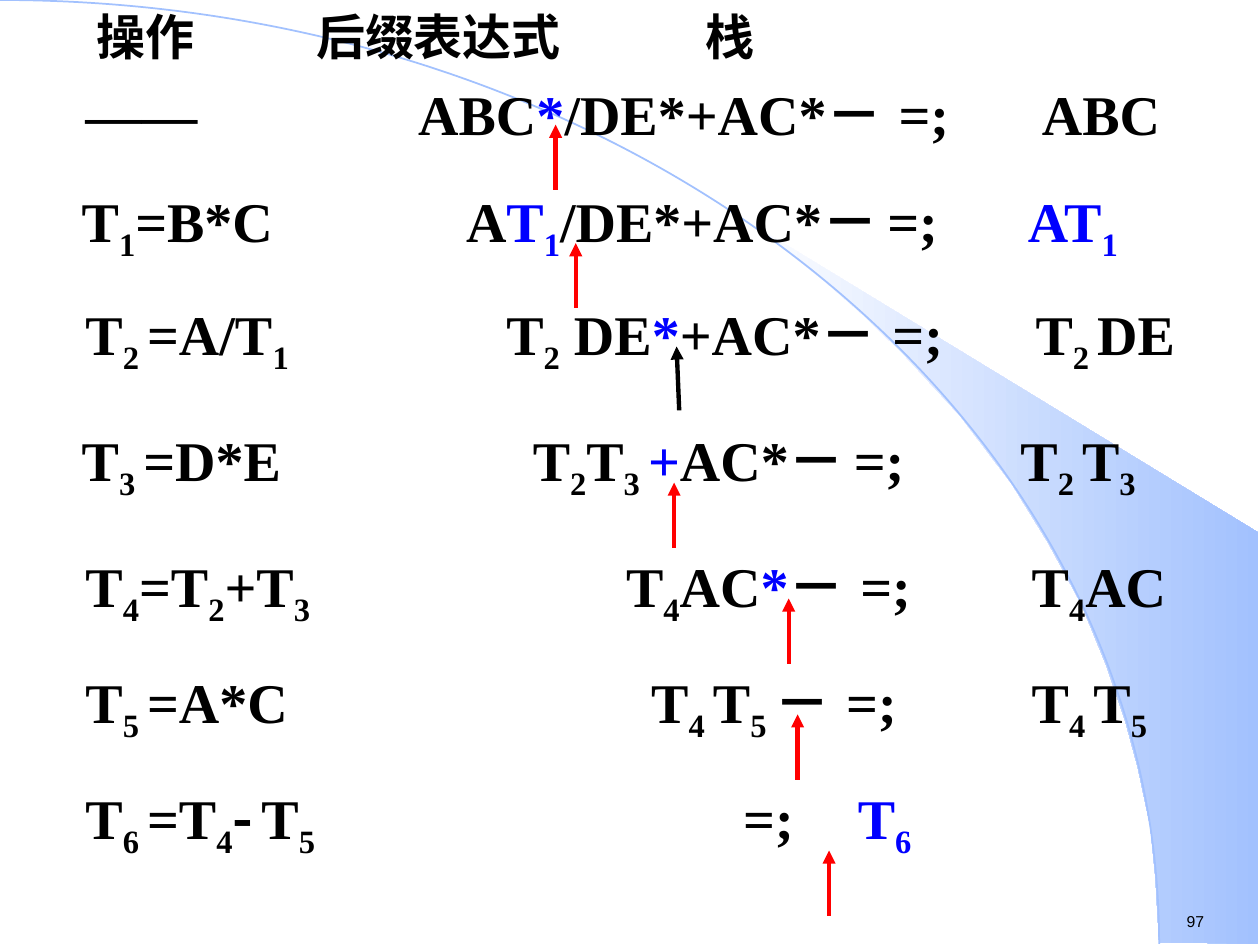
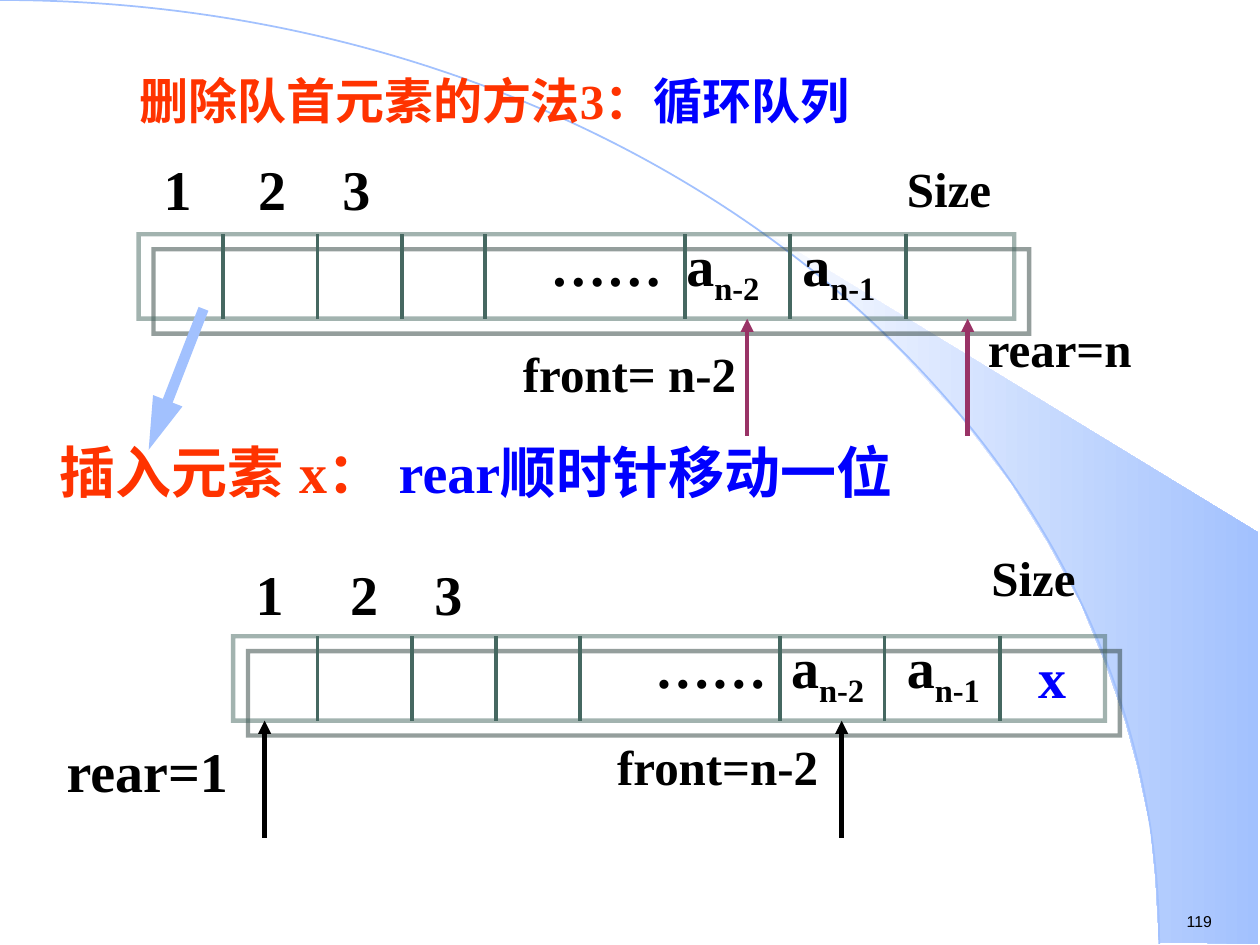
from dataclasses import dataclass

from lxml.etree import SubElement
from pptx import Presentation
from pptx.dml.color import RGBColor
from pptx.enum.shapes import MSO_CONNECTOR, MSO_SHAPE
from pptx.enum.text import PP_ALIGN
from pptx.oxml.ns import qn
from pptx.util import Inches, Pt

COLORS = {
    "black": "000000", "white": "FFFFFF", "blue": "0000FF", "red": "FF0000",
    "orange": "FF3300", "plum": "993366", "sky": "A2C1FE",
    "cell": "466861", "shadow": "2A3E3A",
}
SERIF, SANS, CHINESE = "Times New Roman", "Arial", "Noto Sans CJK SC"
SWEEP = (
    (9.2, 7.48), (9.99, 7.49), (9.99, 4.23), (5.89, 1.73), (6.24, 1.99),
    (6.53, 2.22), (6.85, 2.5), (7.16, 2.8), (7.62, 3.3), (8.03, 3.84),
    (8.32, 4.31), (8.58, 4.79), (8.78, 5.28), (8.93, 5.72), (9.03, 6.09),
    (9.13, 6.56), (9.17, 6.96), (9.2, 7.48),
)
ARC_CONTROLS = ((5.08, 0), (9.2, 3.35))
ARC_END = (9.2, 7.49)
CELL_HEIGHT = 0.67
DIVIDERS = (0.67, 1.42, 2.09, 2.75, 4.34, 5.17, 6.09)


@dataclass
class Piece:
    """A stretch of text in one style."""
    text: str
    color: str = "black"
    lowered: bool = False
    font: str = SERIF
    size: float = 0


def sub(text, color="black"):
    """Return a subscript piece."""
    return Piece(text, color, lowered=True)


def blue(text):
    """Return a highlighted piece."""
    return Piece(text, "blue")


def rgb(name):
    """Look up a named colour."""
    return RGBColor.from_string(COLORS[name])


def east_asian_font(piece):
    """Choose a sans face for Chinese characters set among serif text."""
    has_chinese = any(letter >= "⼀" for letter in piece.text)
    return SANS if has_chinese and piece.font == SERIF else piece.font


def add_run(paragraph, piece, size, bold):
    """Append one styled run to a paragraph."""
    run = paragraph.add_run()
    run.text = piece.text
    run.font.size = Pt(piece.size or size)
    run.font.bold = bold
    run.font.name = piece.font
    run.font.color.rgb = rgb(piece.color)
    properties = run._r.get_or_add_rPr()
    SubElement(properties, qn("a:ea")).set("typeface", east_asian_font(piece))
    if piece.lowered:
        properties.set("baseline", "-25000")


def add_text(slide, box, pieces, size=32, bold=True, inset=True, tabs=(),
             align=PP_ALIGN.LEFT, spacing=None):
    """Add a one-paragraph text box, with tab stops given from the slide edge."""
    shape = slide.shapes.add_textbox(*map(Inches, box))
    frame = shape.text_frame
    frame.word_wrap = True
    margin = 0.1 if inset else 0
    frame.margin_left = frame.margin_right = Inches(margin)
    frame.margin_top = frame.margin_bottom = Inches(margin / 2)
    paragraph = frame.paragraphs[0]
    if tabs:
        tab_list = SubElement(paragraph._p.get_or_add_pPr(), qn("a:tabLst"))
        for stop in tabs:
            tab = SubElement(tab_list, qn("a:tab"))
            tab.set("pos", str(Inches(stop - box[0] - margin)))
            tab.set("algn", "l")
    paragraph.alignment = align
    if spacing:
        paragraph.line_spacing = spacing
    for piece in [pieces] if isinstance(pieces, str) else pieces:
        if isinstance(piece, str):
            piece = Piece(piece)
        add_run(paragraph, piece, size, bold)


def add_line(slide, start, end, color, width=2.5):
    """Draw a straight line and return its line properties."""
    points = map(Inches, (*start, *end))
    connector = slide.shapes.add_connector(MSO_CONNECTOR.STRAIGHT, *points)
    connector.line.color.rgb = rgb(color)
    connector.line.width = Pt(width)
    SubElement(connector._element.spPr, qn("a:effectLst"))
    return connector.line._get_or_add_ln()


def add_arrow(slide, start, end, color, width=2.5, head_length="med"):
    """Draw a square-ended line with an arrowhead at its end."""
    line = add_line(slide, start, end, color, width)
    line.set("cap", "sq")
    SubElement(line, qn("a:tailEnd"), type="triangle", len=head_length)


def add_outline(slide, points, close):
    """Build a freeform through points given in inches."""
    points = [(Inches(x), Inches(y)) for x, y in points]
    builder = slide.shapes.build_freeform(*points[0])
    builder.add_line_segments(points[1:], close=close)
    shape = builder.convert_to_shape()
    shape.shadow.inherit = False
    return shape


def add_arc(slide):
    """Draw the thin background curve as one Bezier segment."""
    arc = add_outline(slide, [(0, 0), ARC_END], False)
    segment = arc._element.find(".//" + qn("a:lnTo"))
    curve = SubElement(segment.getparent(), qn("a:cubicBezTo"))
    for x, y in (*ARC_CONTROLS, ARC_END):
        SubElement(curve, qn("a:pt"), x=str(Inches(x)), y=str(Inches(y)))
    segment.getparent().remove(segment)
    arc.fill.background()
    arc.line.color.rgb = rgb("sky")
    arc.line.width = Pt(1)


def add_background(slide, number):
    """Draw the shaded sweep, the arc and the slide number."""
    sweep = add_outline(slide, SWEEP, False)
    sweep.line.fill.background()
    sweep.fill.gradient()
    sweep.fill.gradient_angle = 0
    for stop, color in zip(sweep.fill.gradient_stops, ("white", "sky")):
        stop.color.rgb = rgb(color)
    add_arc(slide)
    add_text(slide, (9.32, 7.19, 0.68, 0.25), [Piece(number, font=SANS)],
             size=9, bold=False)


def add_step(slide, left, top, tabs, pieces):
    """Write one evaluation step: operation, expression and stack."""
    add_text(slide, (left, top, 9.42, 0.71), pieces, tabs=tabs)


def build_stack_slide(slide):
    """Trace the evaluation of a postfix expression."""
    add_background(slide, "97")
    add_text(slide, (0.67, 0, 8.75, 0.57),
             [Piece("操作\t后缀表达式\t栈", font=CHINESE)],
             size=28, tabs=(2.51, 5.6))
    small_space = Piece(" ", font=SANS, size=18)
    steps = [
        (0.58, 0.58, (3.32, 8.27),
         ["——\tABC", blue("*"), "/DE*+AC*", Piece("－ ", font=SANS),
          "=;\tABC"]),
        (0.55, 1.43, (3.7, 8.16),
         ["T", sub("1"), "=B*C\tA", blue("T"), sub("1", "blue"),
          "/DE*+AC*－", small_space, "=;\t", blue("AT"), sub("1", "blue")]),
        (0.58, 2.33, (4.02, 8.22),
         ["T", sub("2 "), "=A/T", sub("1"), "\tT", sub("2"), " DE",
          blue("*"), "+AC*－ =;\tT", sub("2 "), "DE"]),
        (0.55, 3.33, (4.23, 8.1),
         ["T", sub("3 "), "=D*E\tT", sub("2"), "T", sub("3 "), blue("+"),
          "AC*－", small_space, "=;\tT", sub("2 "), "T", sub("3")]),
        (0.58, 4.33, (4.97, 8.19),
         ["T", sub("4"), "=T", sub("2"), "+T", sub("3"), "\tT", sub("4"),
          "AC", blue("*"), "－ =;\tT", sub("4"), "AC"]),
        (0.58, 5.25, (5.17, 8.19),
         ["T", sub("5 "), "=A*C\tT", sub("4 "), "T", sub("5 "),
          "－ =;\tT", sub("4 "), "T", sub("5")]),
        (0.58, 6.17, (5.9, 6.81),
         ["T", sub("6 "), "=T", sub("4"), Piece("-", font=CHINESE), sub(" "),
          "T", sub("5"), "\t=;\t", blue("T"), sub("6", "blue")]),
    ]
    for step in steps:
        add_step(slide, *step)
    for x, tip in ((4.41, 0.99), (4.57, 1.93), (5.35, 3.83),
                   (6.26, 4.75), (6.33, 5.67), (6.58, 6.75)):
        add_arrow(slide, (x, tip + 0.5), (x, tip), "red")
    add_arrow(slide, (5.39, 3.24), (5.37, 2.75), "black")


def add_queue_frame(slide, left, top, width):
    """Draw the translucent queue outline with its offset shadow."""
    frame = slide.shapes.add_shape(
        MSO_SHAPE.RECTANGLE, *map(Inches, (left, top, width, CELL_HEIGHT)))
    frame.shadow.inherit = False
    frame.fill.background()
    frame.line.color.rgb = rgb("cell")
    frame.line.width = Pt(2.5)
    line = frame.line._get_or_add_ln()
    line_color = line.find(".//" + qn("a:srgbClr"))
    SubElement(line_color, qn("a:alpha")).set("val", "50000")
    SubElement(line, qn("a:miter")).set("lim", "800000")
    effects = frame._element.spPr.find(qn("a:effectLst"))
    shadow = SubElement(effects, qn("a:outerShdw"), blurRad="0",
                        dist=str(Pt(12.1)), dir="2700000",
                        algn="ctr", rotWithShape="0")
    SubElement(shadow, qn("a:srgbClr"), val=COLORS["shadow"])


def add_queue(slide, left, top, width, index_offset, items_left, pointers,
              pointer_color):
    """Draw a queue with its cells, indexes, items and pointer arrows."""
    add_queue_frame(slide, left, top, width)
    for offset in DIVIDERS:
        x = left + offset
        add_line(slide, (x, top), (x, top + CELL_HEIGHT), "cell", 2.25)
    index_left, index_top = index_offset
    for index, offset in (("1", 0), ("2", 0.75), ("3", 1.42)):
        x = left + index_left + offset
        add_text(slide, (x, top + index_top, 0.5, 0.64), index)
    items = ((0, 1.26, ["……"]), (1.08, 1, ["a", sub("n-2")]),
             (2, 1, ["a", sub("n-1")]))
    for offset, item_width, pieces in items:
        x = left + items_left + offset
        add_text(slide, (x, top - 0.08, item_width, 0.71), pieces)
    for offset in pointers:
        x = left + offset
        add_arrow(slide, (x, top + 1.58), (x, top + CELL_HEIGHT),
                  pointer_color)


def build_queue_slide(slide):
    """Show a circular queue before and after an insertion."""
    add_background(slide, "119")
    add_queue(slide, 1.1, 1.86, 6.95, (0.1, -0.68), 3.17, (4.83, 6.58), "plum")
    add_text(slide, (7.1, 1.21, 1.8, 0.57), "Size", size=28)
    add_text(slide, (4.15, 2.73, 1.88, 0.47), "front= n-2", size=28,
             inset=False)
    add_text(slide, (7.84, 2.53, 1.57, 0.47), "rear=n", size=28, inset=False)

    add_text(slide, (1.01, 0.44, 6.2, 0.64),
             [Piece("删除队首元素的方法3：", "orange"), blue("循环队列")],
             size=28, spacing=1.15)
    add_arrow(slide, (1.6, 2.49), (1.18, 3.57), "sky", 6, "lg")
    add_text(slide, (0.47, 3.47, 7.4, 0.53),
             [Piece("插入元素 x： ", "orange"), blue("rear顺时针移动一位")],
             inset=False)

    add_queue(slide, 1.85, 5.05, 6.92, (0.08, -0.66), 3.25, (0.25, 4.83),
              "black")
    add_text(slide, (7.77, 4.3, 1.67, 0.57), "Size", size=28)
    add_text(slide, (4.8, 5.8, 1.96, 0.57), "front=n-2", size=28)
    add_text(slide, (0.43, 5.8, 1.92, 0.64), "rear=1")
    add_text(slide, (8.1, 5.05, 0.5, 0.64), [blue("x")],
             align=PP_ALIGN.CENTER)


def main():
    """Build and save the presentation."""
    presentation = Presentation()
    presentation.slide_width = Inches(10)
    presentation.slide_height = Inches(7.5)
    for build_slide in (build_stack_slide, build_queue_slide):
        build_slide(presentation.slides.add_slide(presentation.slide_layouts[6]))
    presentation.save("out.pptx")


if __name__ == "__main__":
    main()
